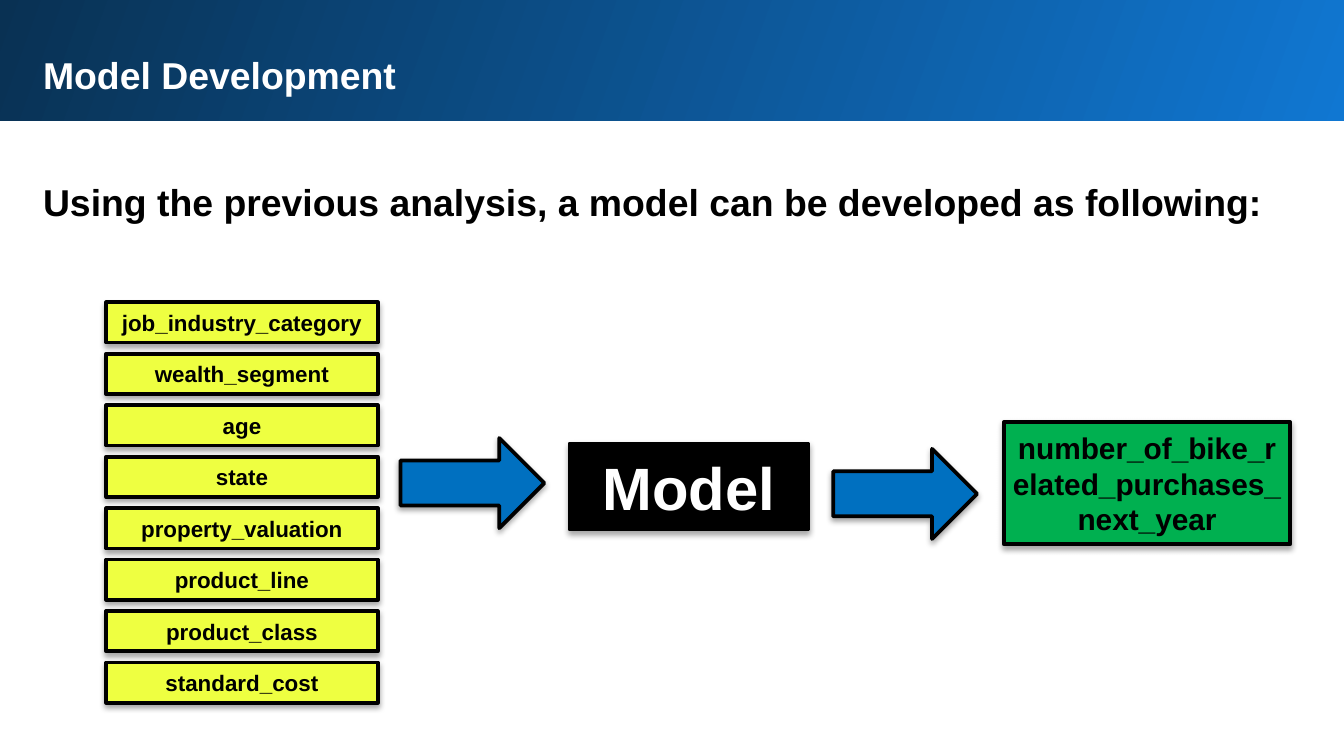
from dataclasses import dataclass

from lxml import etree
from pptx import Presentation
from pptx.dml.color import RGBColor
from pptx.enum.shapes import MSO_SHAPE
from pptx.enum.text import MSO_ANCHOR, MSO_AUTO_SIZE, PP_ALIGN
from pptx.oxml import parse_xml
from pptx.oxml.ns import nsdecls, qn
from pptx.util import Inches, Pt

RECTANGLE = MSO_SHAPE.RECTANGLE
RIGHT_ARROW = MSO_SHAPE.RIGHT_ARROW
TOP, MIDDLE = MSO_ANCHOR.TOP, MSO_ANCHOR.MIDDLE
LEFT, CENTER = PP_ALIGN.LEFT, PP_ALIGN.CENTER
NO_AUTOFIT = MSO_AUTO_SIZE.NONE


@dataclass(frozen=True)
class Theme:
    font: str = "Arial"
    black: str = "000000"
    white: str = "FFFFFF"
    banner_light: str = "1077D2"
    banner_dark: str = "093153"
    feature: str = "EEFF41"
    target: str = "00B050"
    arrow: str = "0070C0"
    heading_size: int = 20
    feature_size: int = 12
    target_size: int = 16
    model_size: int = 32
    outline: int = 2


THEME = Theme()
FEATURES = [
    "job_industry_category",
    "wealth_segment",
    "age",
    "state",
    "property_valuation",
    "product_line",
    "product_class",
    "standard_cost",
]


def color(value):
    return RGBColor.from_string(value)


def write(shape, text, size, ink, align, anchor, inset):
    frame = shape.text_frame
    frame.word_wrap = True
    frame.auto_size = NO_AUTOFIT
    frame.vertical_anchor = anchor
    frame.margin_left = frame.margin_right = Inches(inset)
    frame.margin_top = frame.margin_bottom = Inches(inset)
    para = frame.paragraphs[0]
    para.alignment = align
    para.space_before = Pt(0)
    span = para.add_run()
    span.text = text
    span.font.name = THEME.font
    span.font.size = Pt(size)
    span.font.bold = True
    span.font.color.rgb = color(ink)
    return para


def place(shape, box):
    shape.left, shape.top, shape.width, shape.height = map(Inches, box)


def add_shadow(shape):
    shape.shadow.inherit = False
    effects = shape.element.spPr.find(qn("a:effectLst"))
    effects.append(parse_xml(
        f'<a:outerShdw {nsdecls("a")} blurRad="{Pt(3)}" dist="{Pt(1.8)}" '
        f'dir="5400000" rotWithShape="0"><a:srgbClr val="{THEME.black}">'
        '<a:alpha val="35000"/></a:srgbClr></a:outerShdw>'
    ))


def add_block(page, kind, box, fill):
    block = page.shapes.add_shape(kind, *map(Inches, box))
    block.fill.solid()
    block.fill.fore_color.rgb = color(fill)
    block.line.color.rgb = color(THEME.black)
    block.line.width = Pt(THEME.outline)
    add_shadow(block)
    return block


def add_label(page, box, fill, text, size, ink=THEME.black):
    block = add_block(page, RECTANGLE, box, fill)
    write(block, text, size, ink, CENTER, MIDDLE, 0.05)


def add_banner(page, box):
    banner = page.shapes.add_shape(RECTANGLE, *map(Inches, box))
    banner.shadow.inherit = False
    banner.line.fill.background()
    banner.fill.gradient()
    banner.fill.gradient_angle = 160
    for stop, shade in zip(banner.fill.gradient_stops, (THEME.banner_light, THEME.banner_dark)):
        stop.color.rgb = color(shade)
    page.shapes._spTree.insert(2, banner.element)


def add_headings(page, box):
    left, top, width = box
    title, body = page.shapes.title, page.placeholders[1]
    place(title, (left, top, width, 0.54))
    write(title, "Model Development", THEME.heading_size, THEME.white, LEFT, TOP, 0.1)
    place(body, (left, top + 0.89, width, 0.56))
    para = write(
        body, "Using the previous analysis, a model can be developed as following:",
        THEME.heading_size, THEME.black, LEFT, TOP, 0.1,
    )
    para.line_spacing = 1.15
    settings = para._p.get_or_add_pPr()
    settings.set("marL", "0")
    settings.set("indent", "0")
    etree.SubElement(settings, qn("a:buNone"))


def add_features(page, box):
    left, top, width, height = box
    row_height = 0.3
    step = (height - row_height) / (len(FEATURES) - 1)
    for row, name in enumerate(FEATURES):
        row_box = (left, top + row * step, width, row_height)
        add_label(page, row_box, THEME.feature, name, THEME.feature_size)


def add_model_flow(page, box):
    left, top, width, height = box
    add_label(page, (left + 3.45, top + 1.05, 1.77, 0.64), THEME.black,
              "Model", THEME.model_size, THEME.white)
    add_features(page, (left, top, 2.02, height))
    target_width = 2.13
    add_label(page, (left + width - target_width, top + 0.89, target_width, 0.91), THEME.target,
              "number_of_bike_related_purchases_next_year", THEME.target_size)
    for across, down in ((2.19, 1.01), (5.41, 1.09)):
        add_block(page, RIGHT_ARROW, (left + across, top + down, 1.07, 0.67), THEME.arrow)


def main():
    deck = Presentation()
    deck.slide_width = Inches(10)
    deck.slide_height = deck.slide_width * 9 // 16
    page = deck.slides.add_slide(deck.slide_layouts[1])
    add_banner(page, (-0.02, -0.02, 10.05, 0.92))
    add_headings(page, (0.22, 0.29, 9.37))
    add_model_flow(page, (0.79, 2.25, 8.81, 2.98))
    deck.save("out.pptx")


if __name__ == "__main__":
    main()
